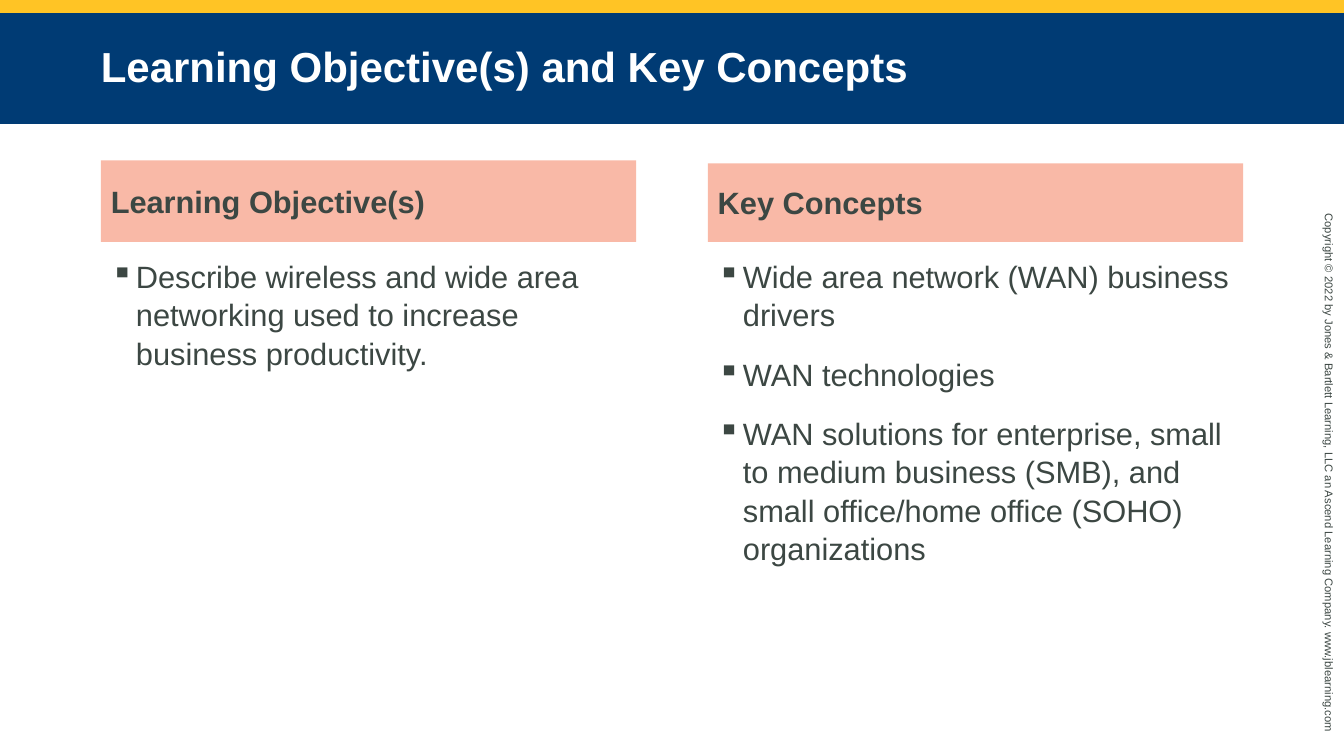
from lxml import etree
from pptx import Presentation
from pptx.dml.color import RGBColor
from pptx.enum.shapes import MSO_SHAPE
from pptx.enum.text import MSO_ANCHOR, MSO_AUTO_SIZE, PP_ALIGN
from pptx.oxml.ns import qn
from pptx.util import Inches, Pt

RECTANGLE = MSO_SHAPE.RECTANGLE
MIDDLE = MSO_ANCHOR.MIDDLE
LEFT = PP_ALIGN.LEFT
GROW = MSO_AUTO_SIZE.SHAPE_TO_FIT_TEXT

COLORS = {"gold": "FFC425", "navy": "003B74", "salmon": "F9B9A7",
          "white": "FFFFFF", "text": "3C4743"}
WIDTH, HEIGHT = 13.33, 7.5
MARGIN = 1
COLUMN_WIDTH = 5.31
STRIPE_HEIGHT, TITLE_HEIGHT = 0.13, 1.1
HEADER_BOTTOM, BODY_TOP, BODY_HEIGHT = 2.4, 2.49, 4.28
BULLET_INDENT = Inches(0.25)

presentation = Presentation()
presentation.slide_width = Inches(WIDTH)
presentation.slide_height = Inches(HEIGHT)
slide = presentation.slides.add_slide(presentation.slide_layouts[6])


def add_box(left, top, width, height, fill=None):
    bounds = [Inches(length) for length in (left, top, width, height)]
    if fill is None:
        shape = slide.shapes.add_textbox(*bounds)
    else:
        shape = slide.shapes.add_shape(RECTANGLE, *bounds)
        shape.shadow.inherit = False
        shape.fill.solid()
        shape.fill.fore_color.rgb = RGBColor.from_string(COLORS[fill])
        shape.line.fill.background()
        shape.text_frame.vertical_anchor = MIDDLE
    shape.text_frame.word_wrap = True
    return shape


def add_text(paragraph, text, size, color="text", bold=False):
    paragraph.alignment = LEFT
    run = paragraph.add_run()
    run.text = text
    run.font.name = "Arial"
    run.font.size = Pt(size)
    run.font.bold = bold
    run.font.color.rgb = RGBColor.from_string(COLORS[color])


# Stripe and title band
add_box(0, 0, WIDTH, STRIPE_HEIGHT, "gold")
title = add_box(0, STRIPE_HEIGHT, WIDTH, TITLE_HEIGHT, "navy")
title.text_frame.margin_left = title.text_frame.margin_right = Inches(MARGIN)
title_paragraph = title.text_frame.paragraphs[0]
title_paragraph.line_spacing = 0.95
add_text(title_paragraph, "Learning Objective(s) and Key Concepts", 30, "white", True)

# Copyright line along the right edge
copyright_box = add_box(10.44, 4.64, 5.48, 0.24)
copyright_box.rotation = 90
copyright_box.text_frame.auto_size = GROW
add_text(copyright_box.text_frame.paragraphs[0],
         "Copyright © 2022 by Jones & Bartlett Learning, LLC an Ascend Learning Company. "
         "www.jblearning.com", 8)

# Two columns: heading, heading height, bullets
columns = [
    ("Learning Objective(s)", 0.81,
     ["Describe wireless and wide area networking used to increase business productivity."]),
    ("Key Concepts", 0.78,
     ["Wide area network (WAN) business drivers",
      "WAN technologies",
      "WAN solutions for enterprise, small to medium business (SMB), and "
      "small office/home office (SOHO) organizations"]),
]
for index, (heading, header_height, bullets) in enumerate(columns):
    left = MARGIN + index * (WIDTH - 2 * MARGIN - COLUMN_WIDTH)
    header = add_box(left, HEADER_BOTTOM - header_height, COLUMN_WIDTH, header_height, "salmon")
    add_text(header.text_frame.paragraphs[0], heading, 22, bold=True)

    body = add_box(left, BODY_TOP, COLUMN_WIDTH, BODY_HEIGHT)
    for number, bullet in enumerate(bullets):
        frame = body.text_frame
        paragraph = frame.add_paragraph() if number else frame.paragraphs[0]
        paragraph.line_spacing = 1.04
        if number:
            paragraph.space_before = Pt(15)
        properties = paragraph._p.get_or_add_pPr()
        properties.set("marL", str(BULLET_INDENT))
        properties.set("indent", str(-BULLET_INDENT))
        etree.SubElement(properties, qn("a:buChar")).set("char", "▪")
        add_text(paragraph, bullet, 22)

presentation.save("out.pptx")
